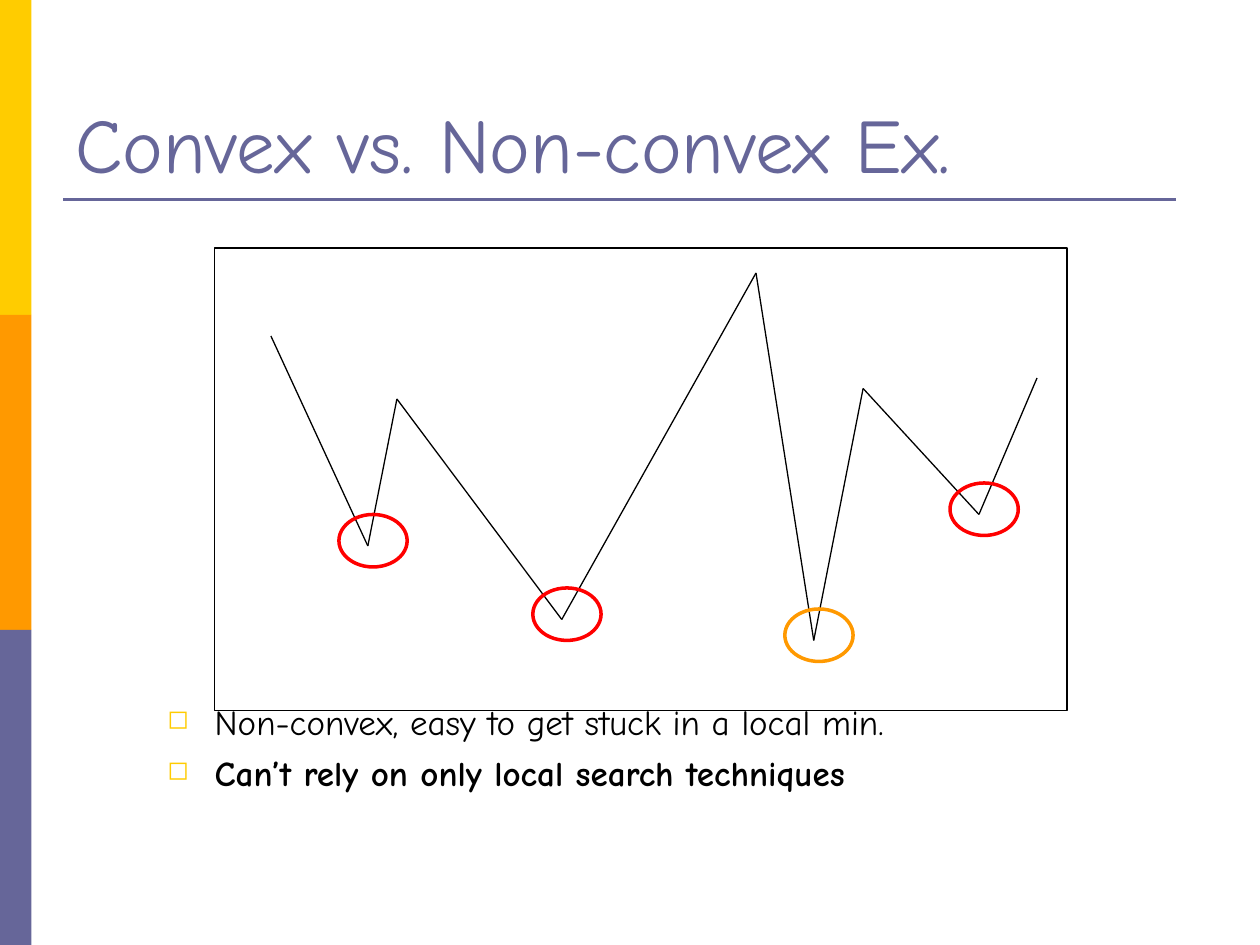
from typing import NamedTuple, Optional

from lxml.etree import SubElement
from pptx import Presentation
from pptx.dml.color import RGBColor
from pptx.enum.shapes import MSO_CONNECTOR, MSO_SHAPE
from pptx.enum.text import MSO_ANCHOR
from pptx.oxml.ns import qn
from pptx.util import Pt

FONT = "Comic Neue"
COLORS = {
    "yellow": "FFCC00",
    "orange": "FF9900",
    "violet": "666699",
    "red": "FF0000",
    "black": "000000",
    "white": "FFFFFF",
}


class Box(NamedTuple):
    left: float
    top: float
    width: float
    height: float


class Point(NamedTuple):
    x: float
    y: float


class Minimum(NamedTuple):
    at: Point
    color: str


class Bullet(NamedTuple):
    text: str
    bold: bool


def rgb(name: str) -> RGBColor:
    return RGBColor.from_string(COLORS[name])


def add_figure(slide, kind, box: Box, fill: Optional[str] = None,
               line: Optional[str] = None, weight: float = 0.75) -> None:
    sp = slide.shapes.add_shape(kind, *map(Pt, box))
    sp.shadow.inherit = False
    if fill:
        sp.fill.solid()
        sp.fill.fore_color.rgb = rgb(fill)
    else:
        sp.fill.background()
    if line:
        sp.line.color.rgb = rgb(line)
        sp.line.width = Pt(weight)
    else:
        sp.line.fill.background()


def add_line(slide, start: Point, end: Point, color: str, weight: float) -> None:
    cn = slide.shapes.add_connector(
        MSO_CONNECTOR.STRAIGHT, *map(Pt, (*start, *end)))
    cn.line.color.rgb = rgb(color)
    cn.line.width = Pt(weight)
    SubElement(cn._element.spPr, qn("a:effectLst"))


def add_text_frame(slide, box: Box, anchor: MSO_ANCHOR):
    tf = slide.shapes.add_textbox(*map(Pt, box)).text_frame
    tf.word_wrap = True
    tf.vertical_anchor = anchor
    return tf


def style(p, size: float, color: str, bold: bool = False) -> None:
    for r in p.runs:
        r.font.name = FONT
        r.font.size = Pt(size)
        r.font.bold = bold
        r.font.color.rgb = rgb(color)


def add_bullet_marks(p, indent: float) -> None:
    pPr = p._p.get_or_add_pPr()
    pPr.set("marL", str(Pt(indent)))
    pPr.set("indent", str(-Pt(indent)))
    bu_color = SubElement(pPr, qn("a:buClr"))
    SubElement(bu_color, qn("a:srgbClr"), val=COLORS["yellow"])
    SubElement(pPr, qn("a:buSzPct"), val="75000")
    SubElement(pPr, qn("a:buChar"), char="◻")


# Corners of the zigzag curve, left to right; every second one is a minimum
CURVE = [
    Point(154.8, 192), Point(210.2, 312), Point(226.8, 228),
    Point(321, 354), Point(432, 156), Point(465, 366),
    Point(493.2, 222), Point(559.4, 294), Point(592.6, 216),
]
MINIMA = [Minimum(pt, color) for pt, color
          in zip(CURVE[1::2], ("red", "red", "orange", "red"))]
RING_W, RING_H, RING_SHIFT = 39, 30, 3

BULLETS = [
    Bullet("Non-convex, easy to get stuck in a local min.", False),
    Bullet("Can’t rely on only local search techniques", True),
]


def main() -> None:
    prs = Presentation()
    prs.slide_width, prs.slide_height = Pt(720), Pt(540)
    s = prs.slides.add_slide(prs.slide_layouts[6])

    # Side band and title rule
    for i, color in enumerate(("yellow", "orange", "violet")):
        add_figure(s, MSO_SHAPE.RECTANGLE, Box(0, i * 180, 18, 180), fill=color)
    add_line(s, Point(36, 114), Point(672, 114), "violet", 1.5)

    # Title
    tf = add_text_frame(s, Box(36, 21.6, 648, 90), MSO_ANCHOR.BOTTOM)
    tf.text = "Convex vs. Non-convex Ex."
    style(tf.paragraphs[0], 44, "violet")

    # Bullets
    tf = add_text_frame(s, Box(88.6, 396.7, 498, 77), MSO_ANCHOR.TOP)
    for i, bullet in enumerate(BULLETS):
        p = tf.add_paragraph() if i else tf.paragraphs[0]
        p.text = bullet.text
        if i:
            p.space_before = Pt(5)
        add_bullet_marks(p, 27)
        style(p, 20, "black", bullet.bold)

    # Plot frame and curve
    add_figure(s, MSO_SHAPE.RECTANGLE, Box(122.4, 141.8, 487.4, 264.2),
               fill="white", line="black")
    for start, end in zip(CURVE, CURVE[1:]):
        add_line(s, start, end, "black", 0.75)

    # Rings around the minima, set slightly up and to the right
    for m in MINIMA:
        ring = Box(m.at.x + RING_SHIFT - RING_W / 2,
                   m.at.y - RING_SHIFT - RING_H / 2, RING_W, RING_H)
        add_figure(s, MSO_SHAPE.OVAL, ring, line=m.color, weight=2)

    prs.save("out.pptx")


if __name__ == "__main__":
    main()
